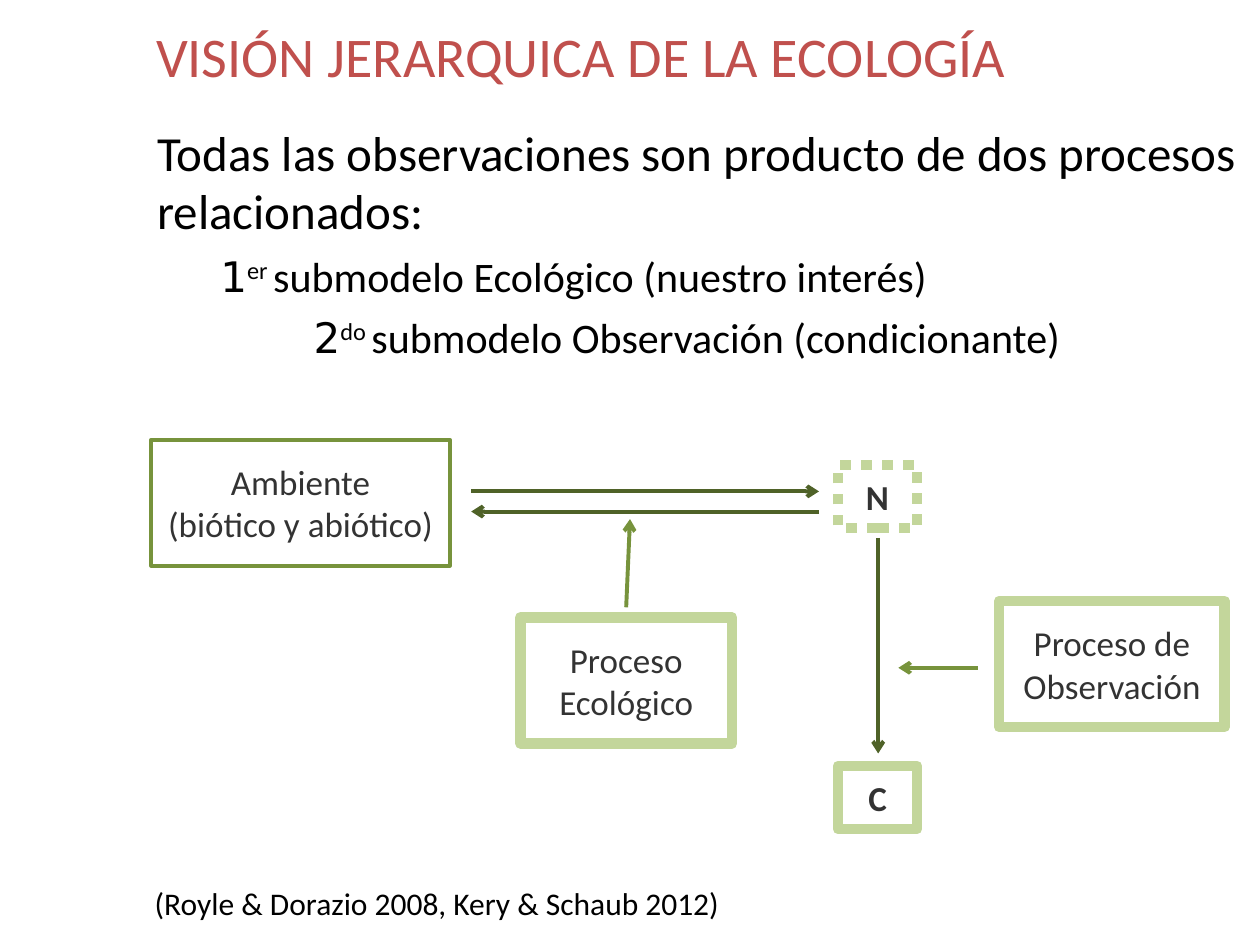
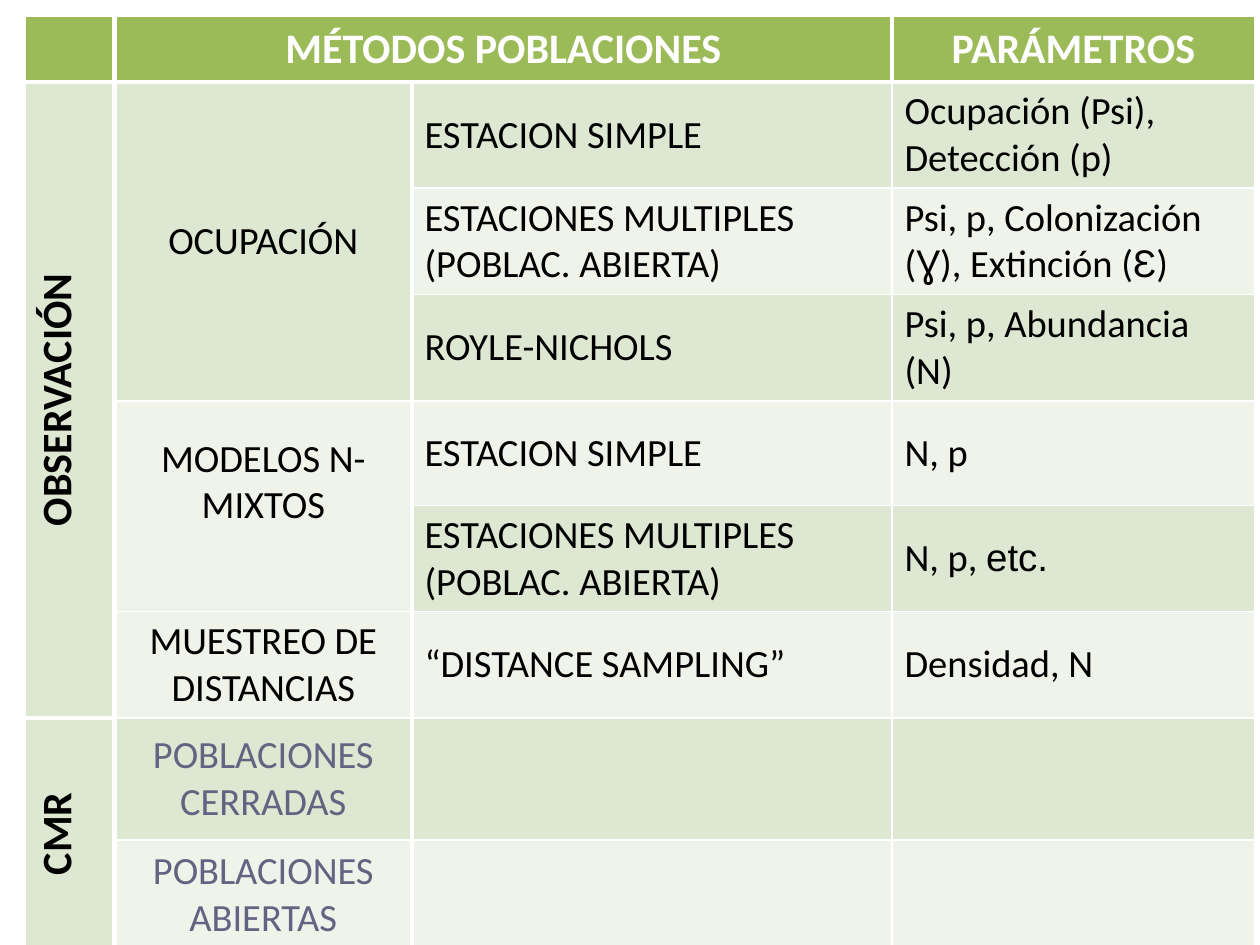
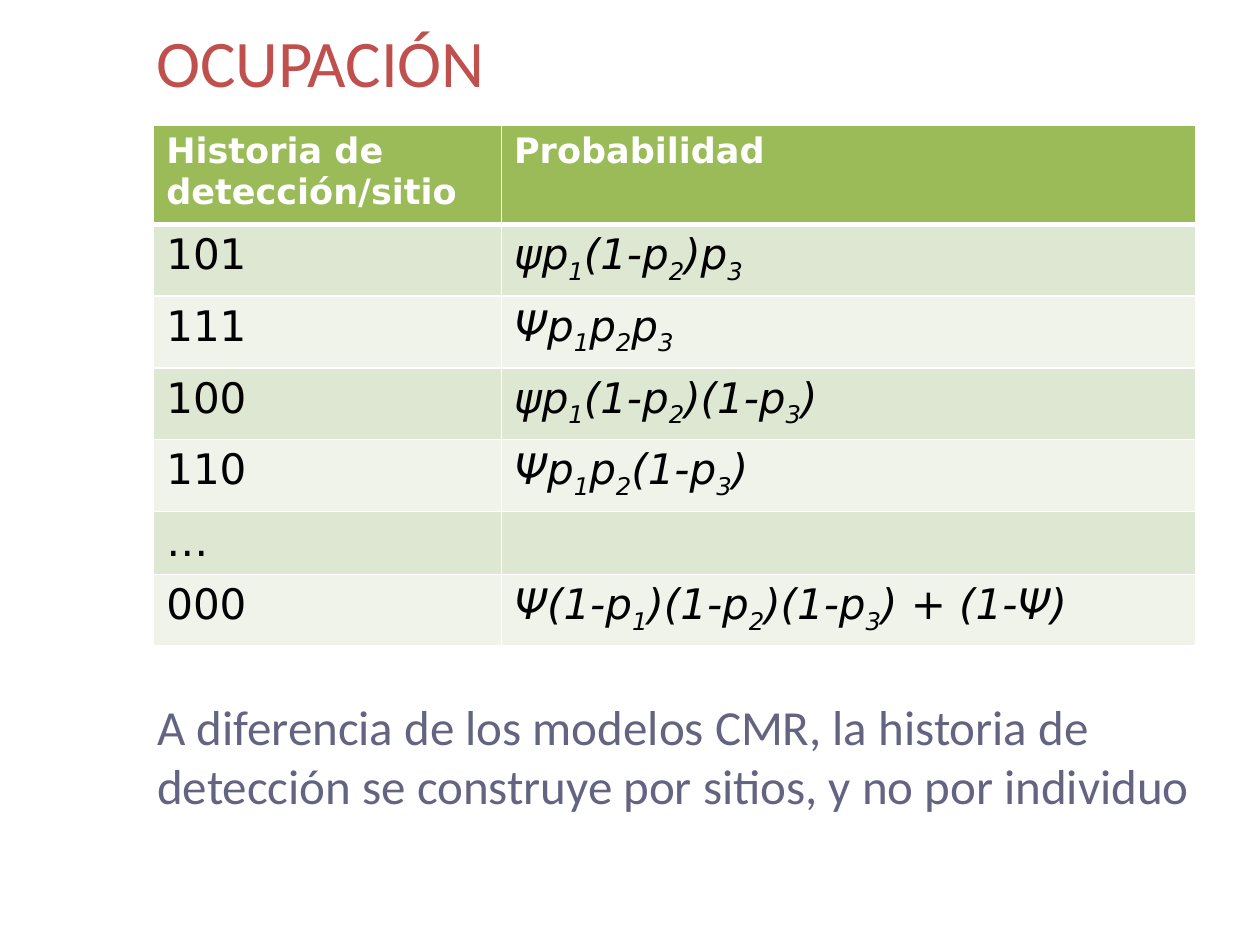
import dataclasses

import pptx
import pptx.dml.color
import pptx.enum.dml
import pptx.enum.shapes
import pptx.enum.text
import pptx.oxml
import pptx.oxml.ns
import pptx.util

ALIGN = pptx.enum.text.PP_ALIGN
ANCHOR = pptx.enum.text.MSO_ANCHOR
RECT = pptx.enum.shapes.MSO_SHAPE.RECTANGLE
COLS, ROWS = 100, 75


@dataclasses.dataclass(frozen=True)
class Theme:
    title: str = "C0504D"
    ink: str = "000000"
    box_ink: str = "333333"
    muted: str = "636382"
    white: str = "FFFFFF"
    header: str = "9BBB59"
    bands: tuple = ("EFF3EA", "DEE7D1")
    green: str = "77933C"
    dark_green: str = "4F6228"
    pale_green: str = "C3D69B"
    font: str = "Calibri"
    math_font: str = "DejaVu Sans"
    symbol_font: str = "Arial"
    body_size: int = 28
    item_size: int = 24
    cell_size: int = 22
    box_size: int = 20
    cite_size: int = 18
    line: float = 2.25
    heavy_line: float = 6
    thin_rule: int = 1
    thick_rule: int = 3


T = Theme()
prs = pptx.Presentation()
prs.slide_width, prs.slide_height = pptx.util.Inches(10), pptx.util.Inches(7.5)


# Grid and text helpers
def gx(n):
    return round(n * prs.slide_width / COLS)


def gy(n):
    return round(n * prs.slide_height / ROWS)


def place(box):
    x, y, w, h = box
    return gx(x), gy(y), gx(w), gy(h)


def rgb(value):
    return pptx.dml.color.RGBColor.from_string(value)


def set_all(target, values):
    for key, value in values.items():
        setattr(target, key, value)


def add_runs(p, runs, **base):
    """Fill p from a string or (text, format) pairs; base applies to all runs."""
    for text, extra in [(runs, {})] if isinstance(runs, str) else runs:
        style = {"name": T.font, "color": T.ink, **base, **extra}
        r = p.add_run()
        r.text = text
        r.font.color.rgb = rgb(style.pop("color"))
        shift = style.pop("baseline", 0)
        style["size"] = pptx.util.Pt(style["size"])
        set_all(r.font, style)
        if shift:
            r._r.get_or_add_rPr().set("baseline", str(shift * 1000))


def formula(text):
    """Turn each digit after an underscore into a subscript."""
    first, *rest = text.split("_")
    runs = [(first, {})]
    for part in rest:
        runs.append((part[0], {"baseline": -25}))
        if part[1:]:
            runs.append((part[1:], {}))
    return runs


def add_text(s, box, runs, wrap=True, grow=False, **style):
    tf = s.shapes.add_textbox(*place(box)).text_frame
    fit = pptx.enum.text.MSO_AUTO_SIZE
    set_all(tf, {"word_wrap": wrap, "auto_size": fit.SHAPE_TO_FIT_TEXT if grow else fit.NONE})
    add_runs(tf.paragraphs[0], runs, **style)
    return tf


def add_title(s, text, size, height):
    add_text(s, (11.4, 1.2, 84.3, height), text, grow=True, size=size, color=T.title)


# Diagram parts
def add_box(s, box, lines, color=T.pale_green, width=T.heavy_line, bold=False, dash=None):
    sp = s.shapes.add_shape(RECT, *place(box))
    sp.shadow.inherit = False
    sp.fill.background()
    sp.line.color.rgb = rgb(color)
    set_all(sp.line, {"width": pptx.util.Pt(width), "dash_style": dash})
    tf = sp.text_frame
    set_all(tf, {"word_wrap": True, "vertical_anchor": ANCHOR.MIDDLE})
    for i, text in enumerate(lines):
        p = tf.add_paragraph() if i else tf.paragraphs[0]
        p.alignment = ALIGN.CENTER
        add_runs(p, text, size=T.box_size, color=T.box_ink, bold=bold)


def add_arrow(s, start, end, color):
    cx = s.shapes.add_connector(pptx.enum.shapes.MSO_CONNECTOR.STRAIGHT,
                                gx(start[0]), gy(start[1]), gx(end[0]), gy(end[1]))
    cx.line.color.rgb = rgb(color)
    cx.line.width = pptx.util.Pt(T.line)
    tail = pptx.oxml.ns.qn("a:tailEnd")
    ln = cx.line._get_or_add_ln()
    ln.append(ln.makeelement(tail, {"type": "arrow"}))
    sp_pr = cx._element.spPr
    sp_pr.append(sp_pr.makeelement(pptx.oxml.ns.qn("a:effectLst"), {}))


def diagram(s, left, top):
    def at(x, y):
        return left + x, top + y

    # Environment, process and state boxes
    add_box(s, (*at(0, 0), 23.7, 10), ["Ambiente", "(biótico y abiótico)"], T.green, T.line)
    add_box(s, (*at(29.3, 14.1), 16.8, 10), ["Proceso Ecológico"])
    add_box(s, (*at(67.3, 12.8), 17.9, 10), ["Proceso de Observación"])
    dotted = pptx.enum.dml.MSO_LINE.ROUND_DOT
    for label, y, dash in (("N", 2, dotted), ("C", 25.9, None)):
        add_box(s, (*at(54.5, y), 6.3, 5), [label], bold=True, dash=dash)
    # Flows between states, then the processes acting on them
    for start, end, color in (
        ((25.4, 4.1), (53, 4.1), T.dark_green),
        ((53, 5.7), (25.4, 5.7), T.dark_green),
        ((57.7, 7.8), (57.7, 24.9), T.dark_green),
        ((37.7, 13.3), (38, 6.3), T.green),
        ((65.6, 18.1), (59.3, 18.1), T.green),
    ):
        add_arrow(s, at(*start), at(*end), color)


# Banded table
def set_borders(cell, widths):
    tc_pr = cell._tc.get_or_add_tcPr()
    ns = pptx.oxml.ns.nsdecls("a")
    for side in "LRTB":
        tc_pr.append(pptx.oxml.parse_xml(
            f'<a:ln{side} {ns} w="{pptx.util.Pt(widths[side])}"><a:solidFill>'
            f'<a:srgbClr val="{T.white}"/></a:solidFill></a:ln{side}>'))


def banded_table(s, left, top, col_widths, row_heights, thick_cols=(), thick_below=()):
    """Add a table with a header row, alternating fills and white rules."""
    n_rows, n_cols = len(row_heights), len(col_widths)
    box = (left, top, sum(col_widths), sum(row_heights))
    table = s.shapes.add_table(n_rows, n_cols, *place(box)).table
    set_all(table, {"first_row": False, "horz_banding": False})
    for column, w in zip(table.columns, col_widths):
        column.width = gx(w)
    for row, h in zip(table.rows, row_heights):
        row.height = gy(h)

    def rule(thick):
        return T.thick_rule if thick else T.thin_rule

    below = {(0, c) for c in range(n_cols)} | set(thick_below)
    for r in range(n_rows):
        for c in range(n_cols):
            cell = table.cell(r, c)
            set_borders(cell, {"L": rule(c - 1 in thick_cols), "R": rule(c in thick_cols),
                               "T": rule((r - 1, c) in below), "B": rule((r, c) in below)})
            cell.fill.solid()
            cell.fill.fore_color.rgb = rgb(T.bands[r % 2] if r else T.header)
    return table


def fill_cell(cell, runs, align=ALIGN.LEFT, anchor=ANCHOR.MIDDLE, **style):
    cell.vertical_anchor = anchor
    p = cell.text_frame.paragraphs[0]
    p.alignment = align
    add_runs(p, runs, **style)


def methods_table(s, left, top):
    table = banded_table(s, left, top, [7.1, 23.6, 38.1, 28.8],
                         [5.2] + [8.3] * 6 + [9.7, 8.7],
                         thick_cols=(0, 1), thick_below=[(6, 0)])
    for start, end in (((0, 1), (0, 2)), ((1, 0), (6, 0)), ((1, 1), (3, 1)),
                       ((4, 1), (5, 1)), ((7, 0), (8, 0))):
        table.cell(*start).merge(table.cell(*end))

    # Header and vertical group names
    strong = {"size": T.item_size, "bold": True, "align": ALIGN.CENTER}
    for c, text in ((1, "MÉTODOS POBLACIONES"), (3, "PARÁMETROS")):
        fill_cell(table.cell(0, c), text, color=T.white, **strong)
    for r, text in ((1, "OBSERVACIÓN"), (7, "CMR")):
        cell = table.cell(r, 0)
        fill_cell(cell, text, **strong)
        cell._tc.get_or_add_tcPr().set("vert", "vert270")

    # Method families
    for r, text, color in ((1, "OCUPACIÓN", T.ink), (4, "MODELOS N-MIXTOS", T.ink),
                           (6, "MUESTREO DE DISTANCIAS", T.ink),
                           (7, "POBLACIONES CERRADAS", T.muted),
                           (8, "POBLACIONES ABIERTAS", T.muted)):
        fill_cell(table.cell(r, 1), text, ALIGN.CENTER, size=T.cell_size, color=color)
    table.cell(4, 1).margin_bottom = gy(4.3)

    # Variants and their parameters
    symbol = {"name": T.symbol_font}
    single, multiple = "ESTACION SIMPLE", "ESTACIONES MULTIPLES (POBLAC. ABIERTA)"
    variants = [
        (single, "Ocupación (Psi), Detección (p)"),
        (multiple, [("Psi, p, Colonización (", {}), ("Ɣ", symbol),
                    ("), Extinción (", {}), ("Ɛ", symbol), (")", {})]),
        ("ROYLE-NICHOLS", "Psi, p, Abundancia (N)"),
        (single, "N, p"),
        (multiple, [("N, p, ", {}), ("etc.", symbol)]),
        ("“DISTANCE SAMPLING”", "Densidad, N"),
    ]
    for r, row in enumerate(variants, 1):
        for c, runs in enumerate(row, 2):
            fill_cell(table.cell(r, c), runs, size=T.cell_size)


def history_table(s, left, top):
    table = banded_table(s, left, top, [27.6, 55.1], [7.9] + [5.7] * 4 + [5, 5.7])
    style = {"name": T.math_font, "anchor": ANCHOR.TOP}
    for c, text in enumerate(("Historia de detección/sitio", "Probabilidad")):
        fill_cell(table.cell(0, c), text, size=T.box_size, bold=True, color=T.white, **style)
    histories = [
        ("101", "ψp_1(1-p_2)p_3"),
        ("111", "Ψp_1p_2p_3"),
        ("100", "ψp_1(1-p_2)(1-p_3)"),
        ("110", "Ψp_1p_2(1-p_3)"),
        ("…", ""),
        ("000", "Ψ(1-p_1)(1-p_2)(1-p_3) + (1-Ψ)"),
    ]
    for r, (history, probability) in enumerate(histories, 1):
        fill_cell(table.cell(r, 0), history, size=T.item_size, **style)
        if probability:
            fill_cell(table.cell(r, 1), formula(probability), size=T.item_size,
                      italic=True, **style)


# Slides
def new_slide():
    return prs.slides.add_slide(prs.slide_layouts[6])


def hierarchy_slide():
    s = new_slide()
    add_title(s, "VISIÓN JERARQUICA DE LA ECOLOGÍA", 32, 6.4)
    tf = add_text(s, (11.5, 9.2, 88.2, 59.8),
                  "Todas las observaciones son producto de dos procesos relacionados:",
                  size=T.body_size)
    for indent, number, ending, text in (
        (5, "1", "er ", "submodelo Ecológico (nuestro interés)"),
        (12.4, "2", "do ", "submodelo Observación (condicionante)"),
    ):
        p = tf.add_paragraph()
        set_all(p, {"level": 1, "space_before": pptx.util.Pt(6)})
        p._p.get_or_add_pPr().set("marL", str(gx(indent)))
        add_runs(p, [(number, {"name": T.math_font}), (ending, {"baseline": 30}), (text, {})],
                 size=T.item_size)
    diagram(s, 12, 34.9)
    add_text(s, (11.3, 69.7, 48.6, 4), "(Royle & Dorazio 2008, Kery & Schaub 2012)",
             wrap=False, grow=True, size=T.cite_size)


def methods_slide():
    methods_table(new_slide(), 2, 1.3)


def occupancy_slide():
    s = new_slide()
    add_title(s, "OCUPACIÓN", 38, 7.4)
    history_table(s, 12.2, 9.9)
    add_text(s, (11.5, 54.8, 84.2, 16.9),
             "A diferencia de los modelos CMR, la historia de detección se construye "
             "por sitios, y no por individuo", size=T.body_size, color=T.muted)


def main():
    hierarchy_slide()
    methods_slide()
    occupancy_slide()
    prs.save("out.pptx")


if __name__ == "__main__":
    main()
